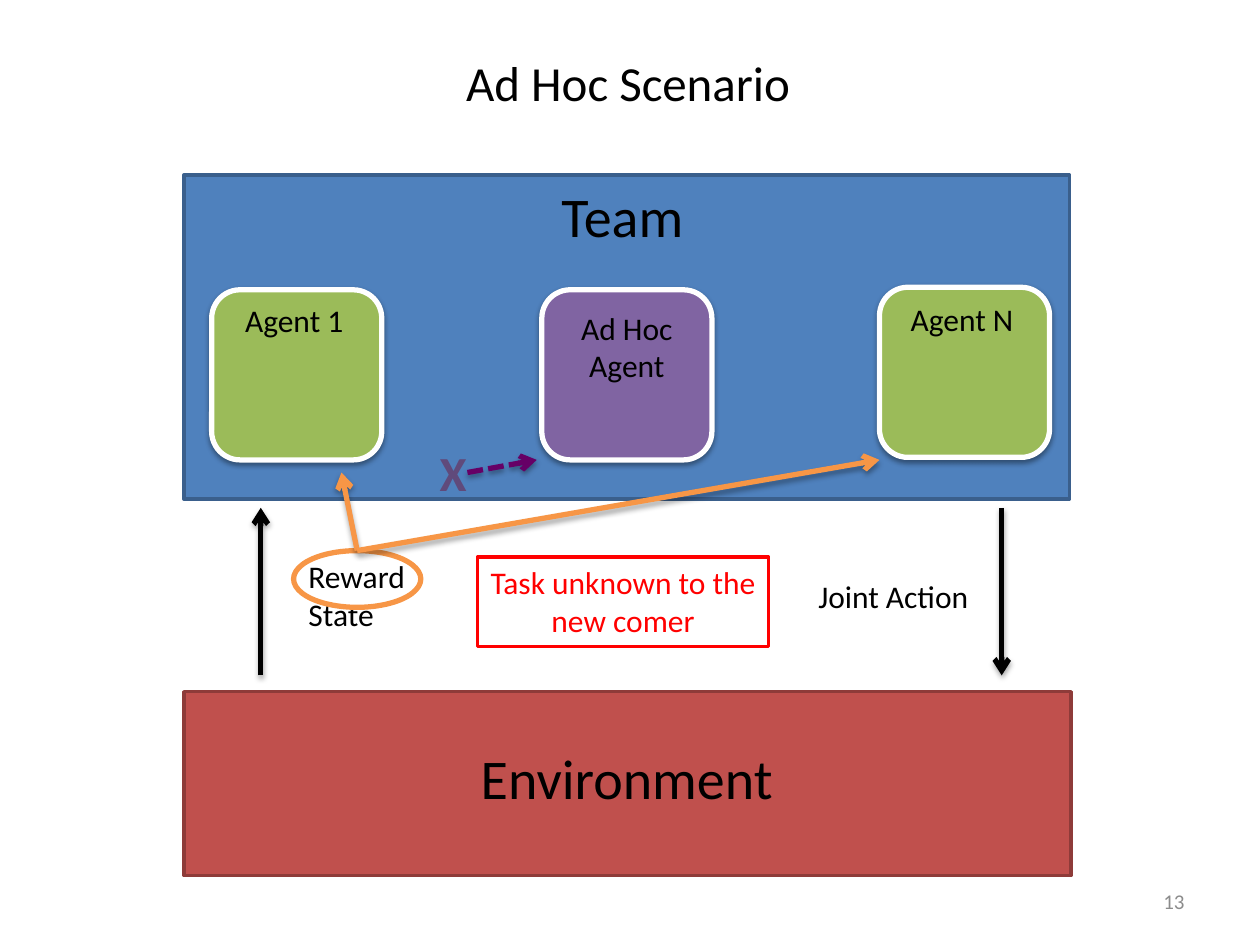
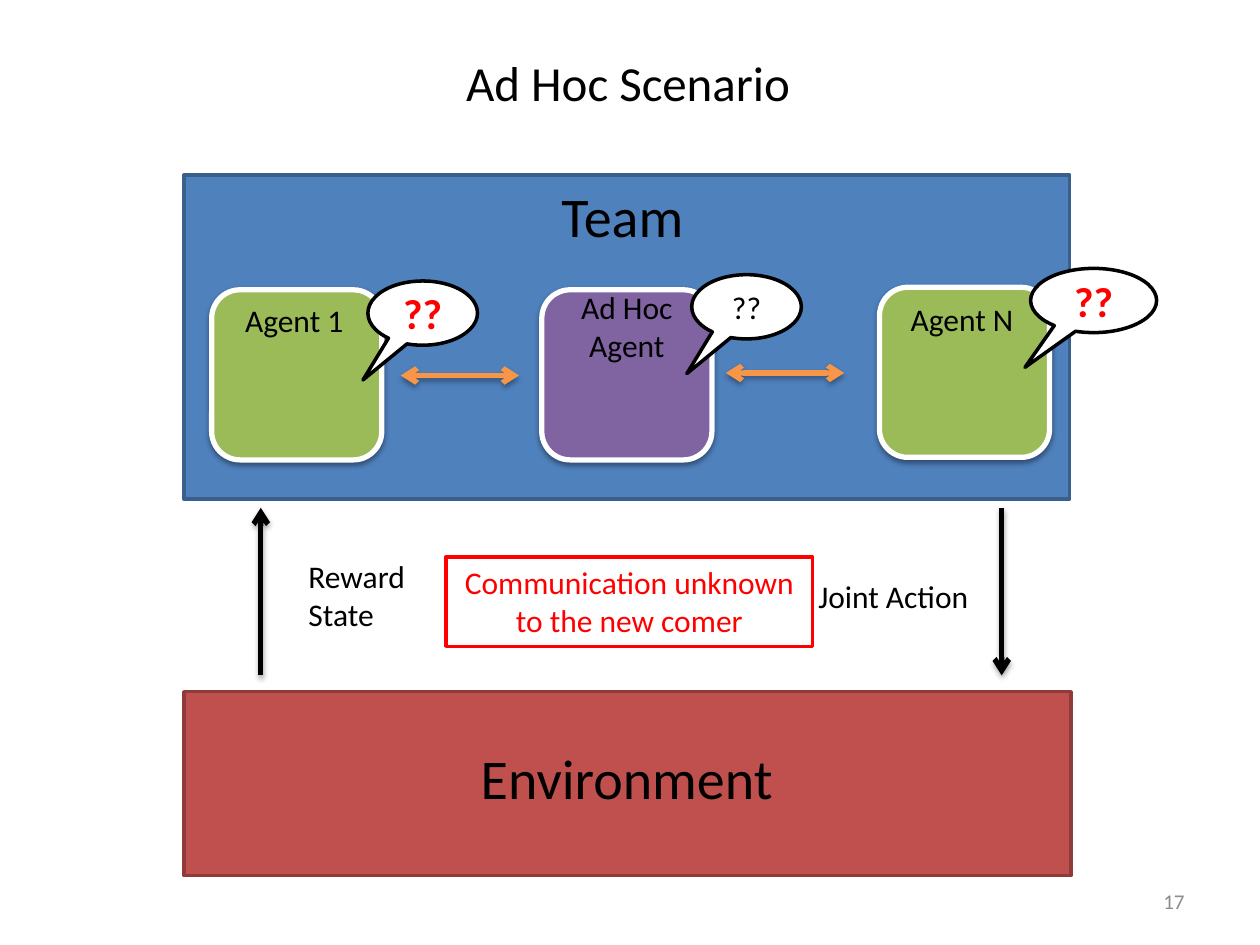
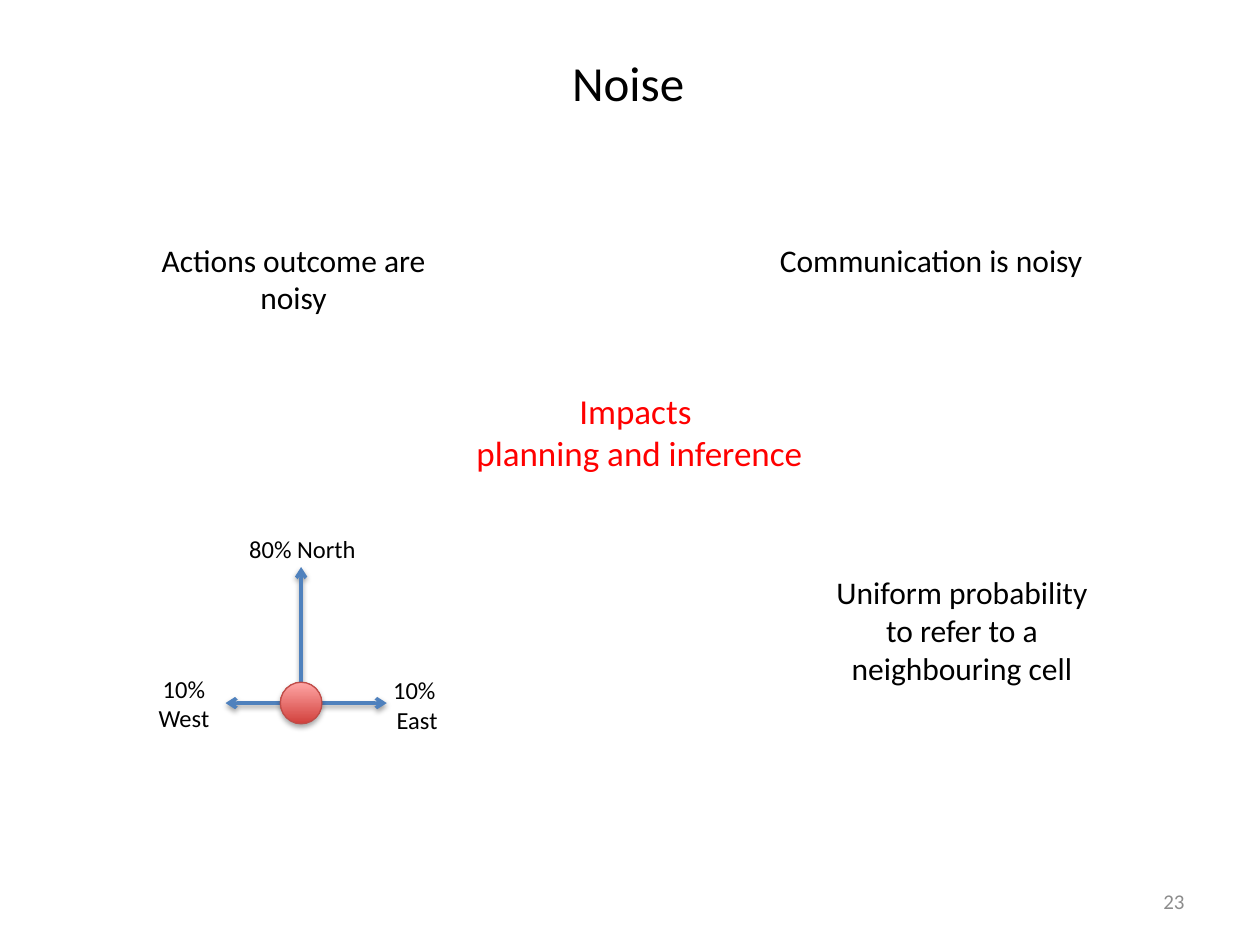
from lxml import etree
from pptx import Presentation
from pptx.dml.color import RGBColor
from pptx.enum import dml, shapes, text
from pptx.oxml.ns import qn
from pptx.util import Inches, Pt

FONT = "Calibri"
BLACK, WHITE, RED, GRAY = "000000", "FFFFFF", "FF0000", "8C8C8C"
BLUE, BRICK, GREEN, PURPLE = "4F81BD", "C0504D", "9BBB59", "8064A2"
ORANGE, PLUM, VIOLET = "F79646", "660066", "604A7B"
KIND = shapes.MSO_SHAPE
ALIGN = text.PP_ALIGN
ANCHOR = text.MSO_ANCHOR

# opacity in percent, blur and distance in points
SOFT = (38, 3.1, 1.6)
DEEP = (35, 3.1, 1.8)

TITLE_BOX = (1.48, 0.37, 7.01, 0.57)
NUMBER_BOX = (7.17, 6.95, 2.33, 0.4)

# Parts of both scenario slides
BANDS = [((1.46, 1.39, 7.03, 2.57), BLUE, "3A5F8C"),
         ((1.46, 5.49, 7.04, 1.46), BRICK, "8E3B39")]
AGENT_SIDE = 1.35
AGENTS = [(1.68, 2.3, GREEN), (6.98, 2.28, GREEN), (4.3, 2.3, PURPLE)]
LABELS = [("Environment", (3.36, 5.85, 3.23, 0.64), 32, ALIGN.CENTER),
          ("Team", (4.12, 1.39, 1.64, 0.64), 32, ALIGN.CENTER),
          ("Agent 1", (1.79, 2.34, 1.09, 0.4), 18, ALIGN.CENTER),
          ("Agent N", (7.09, 2.33, 1.09, 0.4), 18, ALIGN.CENTER),
          ("Reward\nState", (2.35, 4.37, 1.36, 0.71), 18, ALIGN.LEFT),
          ("Joint Action", (5.97, 4.53, 2.24, 0.4), 18, ALIGN.CENTER)]
FLOWS = [((7.95, 4.03), (7.95, 5.36)), ((2.07, 5.36), (2.07, 4.03))]

# Unknown task
REWARD_RING = (2.33, 4.37, 1.01, 0.45)
REWARD_TOP = (2.83, 4.37)
REWARD_TARGETS = [(2.71, 3.75), (6.98, 3.65)]

# Unknown communication
TALKS = [((3.18, 2.98), (4.12, 2.98)), ((5.76, 2.96), (6.7, 2.96))]
CALLOUTS = [((2.92, 2.23, 0.87, 0.51), 24, RED, True),
            ((8.18, 2.13, 1, 0.51), 24, RED, True),
            ((5.49, 2.18, 0.87, 0.51), 18, BLACK, False)]

# Noise
CELL = (2.39, 5.58)
CELL_SIZE = 0.33
MOVES = [(2.39, 4.5), (1.79, 5.58), (3.07, 5.58)]
NOISE_TEXTS = [("Actions outcome are noisy", (1.09, 1.86, 2.48, 1.01), 18, BLACK),
               ("80% North", (1.49, 4.19, 1.82, 0.34), 14, BLACK),
               ("10% \nEast", (2.4, 5.31, 1.82, 0.57), 14, BLACK),
               ("10% West", (1.13, 5.3, 0.66, 0.57), 14, BLACK),
               ("Communication is noisy", (5.93, 1.86, 2.92, 0.71), 18, BLACK),
               ("Impacts \nplanning and inference", (3.57, 3.04, 3.01, 1.11), 20, RED),
               ("Uniform probability to refer to a neighbouring cell",
                (6.42, 4.5, 2.43, 1.01), 18, BLACK)]


def rgb(color):
    return RGBColor.from_string(color)


def inches(values):
    return [Inches(value) for value in values]


def add_shadow(part, shadow):
    """Give the part a downward shadow, or an empty effect list."""
    properties = part._element.spPr
    for old in properties.findall(qn("a:effectLst")):
        properties.remove(old)
    effects = etree.SubElement(properties, qn("a:effectLst"))
    if shadow:
        opacity, blur, distance = shadow
        outer = etree.SubElement(effects, qn("a:outerShdw"), blurRad=str(Pt(blur)),
                                 dist=str(Pt(distance)), dir="5400000", rotWithShape="0")
        color = etree.SubElement(outer, qn("a:srgbClr"), val=BLACK)
        etree.SubElement(color, qn("a:alpha"), val=str(opacity * 1000))


def write(part, words, size, color=BLACK, bold=False, align=ALIGN.CENTER, anchor=ANCHOR.TOP):
    frame = part.text_frame
    frame.word_wrap = True
    frame.vertical_anchor = anchor
    frame.text = words
    look = {"name": FONT, "size": Pt(size), "bold": bold}
    for paragraph in frame.paragraphs:
        paragraph.alignment = align
        for run in paragraph.runs:
            for key, value in look.items():
                setattr(run.font, key, value)
            run.font.color.rgb = rgb(color)


def label(slide, words, box, size, **style):
    write(slide.shapes.add_textbox(*inches(box)), words, size, **style)


def draw(slide, kind, box, fill, line, width, shadow=None):
    part = slide.shapes.add_shape(kind, *inches(box))
    if fill:
        part.fill.solid()
        part.fill.fore_color.rgb = rgb(fill)
    else:
        part.fill.background()
    part.line.color.rgb = rgb(line)
    part.line.width = Pt(width)
    add_shadow(part, shadow)
    return part


def arrow(slide, start, end, color, width=3, shadow=DEEP, both=False, dash=None):
    line = slide.shapes.add_connector(shapes.MSO_CONNECTOR.STRAIGHT, *inches(start + end))
    line.line.color.rgb = rgb(color)
    line.line.width = Pt(width)
    if dash:
        line.line.dash_style = dash
    stroke = line.line._get_or_add_ln()
    for tip in (["headEnd"] if both else []) + ["tailEnd"]:
        etree.SubElement(stroke, qn("a:" + tip), type="arrow")
    add_shadow(line, shadow)
    return line


def new_slide(deck, title, number):
    slide = deck.slides.add_slide(deck.slide_layouts[6])
    label(slide, number, NUMBER_BOX, 12, color=GRAY, align=ALIGN.RIGHT, anchor=ANCHOR.MIDDLE)
    label(slide, title, TITLE_BOX, 28)
    return slide


def scenario(deck, number, ad_hoc_top, message, message_box):
    """Add a slide with the team, the environment and the red message."""
    slide = new_slide(deck, "Ad Hoc Scenario", number)
    for box, fill, line in BANDS:
        draw(slide, KIND.RECTANGLE, box, fill, line, 2)
    for left, top, fill in AGENTS:
        draw(slide, KIND.ROUNDED_RECTANGLE, (left, top, AGENT_SIDE, AGENT_SIDE),
             fill, WHITE, 3, SOFT)
    for words, box, size, align in LABELS:
        label(slide, words, box, size, align=align)
    label(slide, "Ad Hoc Agent", (4.43, ad_hoc_top, 1.09, 0.71), 18)
    for start, end in FLOWS:
        arrow(slide, start, end, BLACK)
    notice = draw(slide, KIND.RECTANGLE, message_box, WHITE, RED, 2)
    write(notice, message, 18, RED)
    return slide


def unknown_task(deck):
    slide = scenario(deck, "13", 2.4, "Task unknown to the new comer", (3.79, 4.42, 2.31, 0.71))
    ring = draw(slide, KIND.OVAL, REWARD_RING, None, ORANGE, 3)
    for target in REWARD_TARGETS:
        arrow(slide, REWARD_TOP, target, ORANGE).begin_connect(ring, 0)
    arrow(slide, (3.71, 3.75), (4.26, 3.65), PLUM, dash=dml.MSO_LINE.SQUARE_DOT)
    label(slide, "X", (3.34, 3.46, 0.51, 0.57), 28, color=VIOLET, bold=True)


def unknown_communication(deck):
    slide = scenario(deck, "17", 2.24, "Communication unknown to the new comer",
                     (3.54, 4.42, 2.91, 0.71))
    for start, end in TALKS:
        arrow(slide, start, end, ORANGE, both=True)
    for box, size, color, bold in CALLOUTS:
        bubble = draw(slide, KIND.OVAL_CALLOUT, box, WHITE, BLACK, 2)
        bubble.adjustments[0], bubble.adjustments[1] = -0.545, 1.041
        write(bubble, "??", size, color, bold, anchor=ANCHOR.MIDDLE)


def noise(deck):
    slide = new_slide(deck, "Noise", "23")
    for target in MOVES:
        arrow(slide, CELL, target, BLUE, 2, SOFT)
    corner = tuple(center - CELL_SIZE / 2 for center in CELL)
    cell = draw(slide, KIND.OVAL, corner + (CELL_SIZE, CELL_SIZE), BRICK, "BF4C48", 0.75, DEEP)
    cell.fill.gradient()
    cell.fill.gradient_angle = 90
    for stop, color in zip(cell.fill.gradient_stops, ("D1403C", "FFA6A5")):
        stop.color.rgb = rgb(color)
    for words, box, size, color in NOISE_TEXTS:
        label(slide, words, box, size, color=color)


def main():
    deck = Presentation()
    deck.slide_width, deck.slide_height = Inches(10), Inches(7.5)
    unknown_task(deck)
    unknown_communication(deck)
    noise(deck)
    deck.save("out.pptx")


if __name__ == "__main__":
    main()
